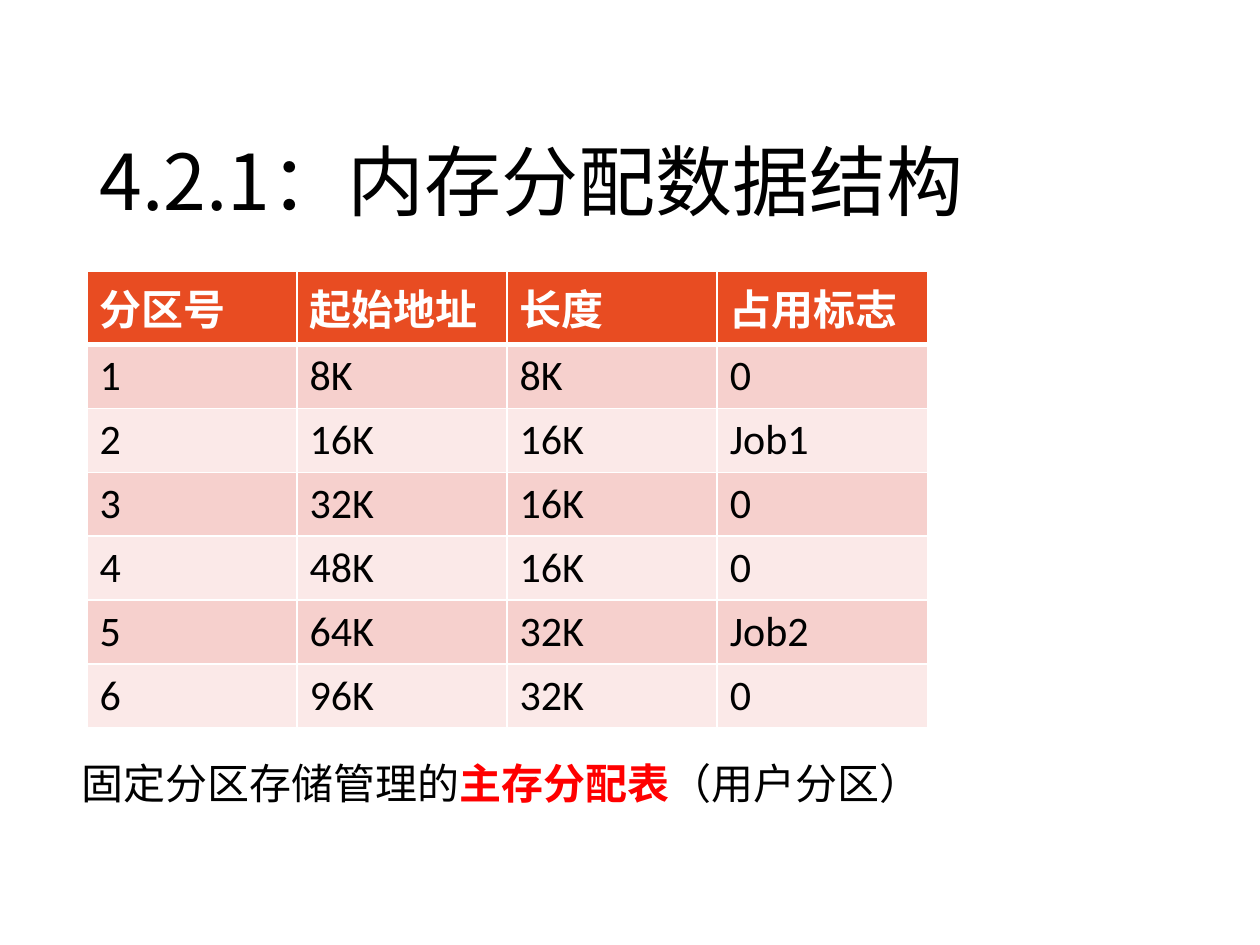
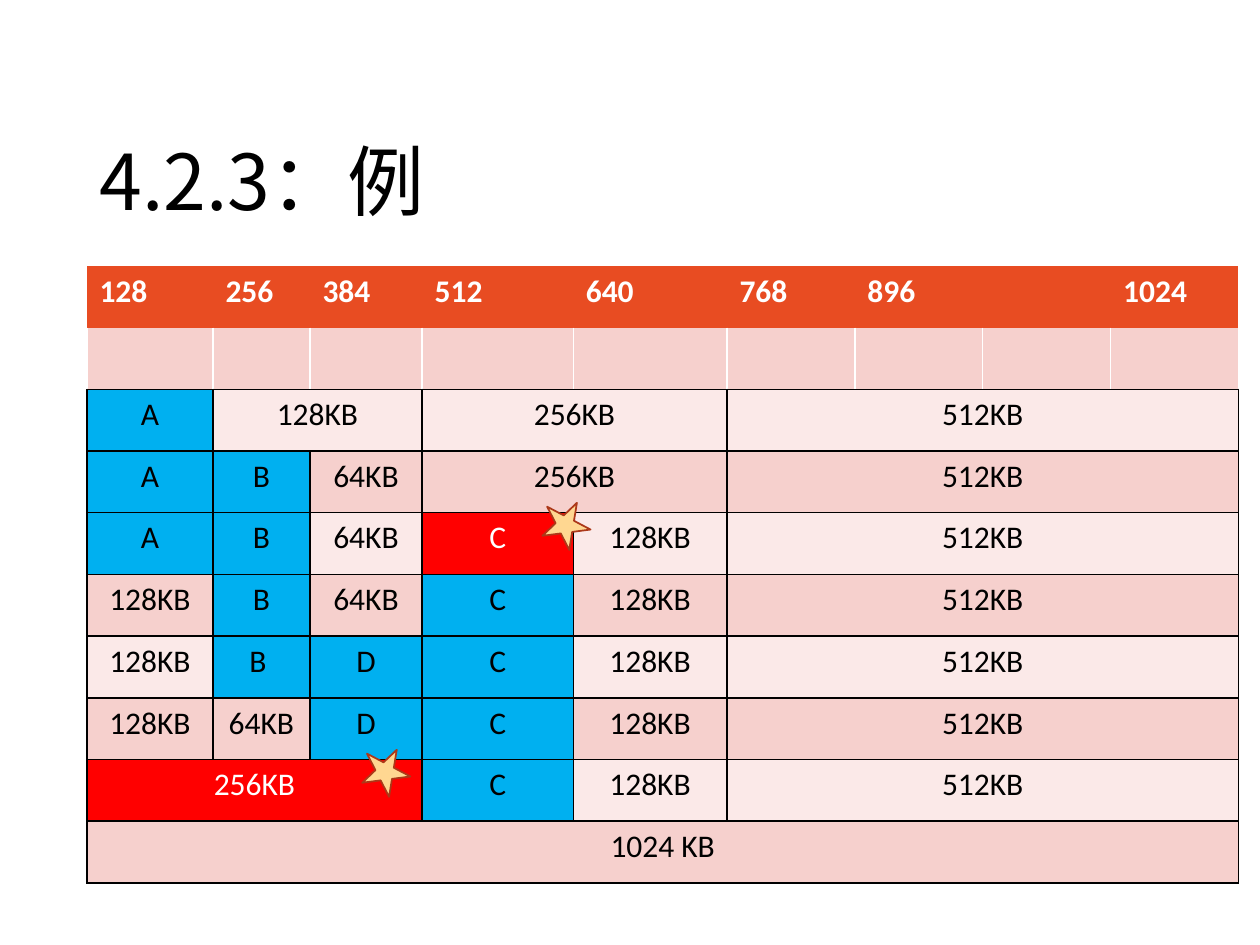
from itertools import chain

from lxml.etree import SubElement
from pptx import Presentation
from pptx.dml.color import RGBColor
from pptx.enum.shapes import MSO_SHAPE as Shape
from pptx.enum.text import MSO_ANCHOR as Anchor, MSO_AUTO_SIZE as AutoSize, PP_ALIGN as Align
from pptx.oxml.ns import qn
from pptx.util import Inches, Pt

BLACK = RGBColor(0x00, 0x00, 0x00)
WHITE = RGBColor(0xFF, 0xFF, 0xFF)
RED = RGBColor(0xFF, 0x00, 0x00)
BLUE = RGBColor(0x00, 0xB0, 0xF0)
ORANGE = RGBColor(0xE8, 0x4C, 0x22)
PINK = RGBColor(0xF6, 0xD0, 0xCD)
PALE_PINK = RGBColor(0xFB, 0xE9, 0xE8)
GOLD = RGBColor(0xFF, 0xD7, 0x91)
RUST = RGBColor(0xAC, 0x38, 0x19)

BODY_FONT = "Calibri"
CJK_FONT = "Noto Sans CJK SC"
TITLE_ONLY = 5
LEFT = 0.69

PARTITIONS = [
    ("分区号", "起始地址", "长度", "占用标志"),
    ("1", "8K", "8K", "0"),
    ("2", "16K", "16K", "Job1"),
    ("3", "32K", "16K", "0"),
    ("4", "48K", "16K", "0"),
    ("5", "64K", "32K", "Job2"),
    ("6", "96K", "32K", "0"),
]

ADDRESSES = ("128", "256", "384", "512", "640", "768", "896", "", "1024")
# Each block is (label, columns it spans).
TAIL = ("512KB", 4)
BUDDY_ROWS = [
    [("A", 1), ("128KB", 2), ("256KB", 2), TAIL],
    [("A", 1), ("B", 1), ("64KB", 1), ("256KB", 2), TAIL],
    [("A", 1), ("B", 1), ("64KB", 1), ("C", 1), ("128KB", 1), TAIL],
    [("128KB", 1), ("B", 1), ("64KB", 1), ("C", 1), ("128KB", 1), TAIL],
    [("128KB", 1), ("B ", 1), ("D", 1), ("C", 1), ("128KB", 1), TAIL],
    [("128KB", 1), ("64KB", 1), ("D", 1), ("C", 1), ("128KB", 1), TAIL],
    [("256KB", 3), ("C", 1), ("128KB", 1), TAIL],
    [("1024 KB", 9)],
]
HIGHLIGHTS = {(4, 3), (8, 0)}  # (table row, column) of the starred blocks
STARS = [(4.3, 3.97), (2.87, 5.93)]


def add_span(para, text, font=BODY_FONT, **formats):
    """Add a run with Latin and East Asian fonts and the given formats."""
    span = para.add_run()
    span.text = text
    span.font.color.rgb = formats.pop("color", BLACK)
    for name, value in {"name": font, "bold": False, **formats}.items():
        setattr(span.font, name, value)
    SubElement(span.font._element, qn("a:ea"), typeface=CJK_FONT)


def add_page(deck, title):
    """Add a page with the shared title style."""
    page = deck.slides.add_slide(deck.slide_layouts[TITLE_ONLY])
    box = page.shapes.title
    place = {"left": LEFT, "top": 0.4, "width": 8.62, "height": 1.45}
    for name, value in place.items():
        setattr(box, name, Inches(value))
    frame = box.text_frame
    for name, value in {"vertical_anchor": Anchor.BOTTOM, "word_wrap": True,
                        "auto_size": AutoSize.NONE}.items():
        setattr(frame, name, value)
    para = frame.paragraphs[0]
    para.alignment, para.line_spacing = Align.LEFT, 0.9
    add_span(para, title, CJK_FONT, size=Pt(44))
    return page


def add_grid(page, top, widths, row_count, row_height, height):
    """Add a table with the given columns and equal rows."""
    holder = page.shapes.add_table(row_count, len(widths), Inches(LEFT), Inches(top),
                                   Inches(sum(widths)), Inches(height))
    for column, width in zip(holder.table.columns, widths):
        column.width = Inches(width)
    for row in holder.table.rows:
        row.height = Inches(row_height)
    holder.height = Inches(height)
    return holder.table


def set_borders(cell, **edges):
    """Draw edges L, R, T, B from (colour, points); an absent edge is hidden."""
    props = cell._tc.get_or_add_tcPr()
    for index, side in enumerate("LRTB"):
        color, points = edges.get(side, (None, 0))
        line = SubElement(props, qn(f"a:ln{side}"), w=str(Pt(points)))
        props.insert(index, line)
        if color is None:
            SubElement(line, qn("a:noFill"))
        else:
            fill = SubElement(line, qn("a:solidFill"))
            SubElement(fill, qn("a:srgbClr"), val=str(color))


def fill_cell(cell, text, fill, align=Align.LEFT, **formats):
    """Give a cell its fill and its formatted text."""
    cell.fill.solid()
    cell.fill.fore_color.rgb = fill
    if text:
        para = cell.text_frame.paragraphs[0]
        para.alignment = align
        add_span(para, text, **formats)


def band_color(row):
    """Return the fill of a table row: header, then alternating bands."""
    return ORANGE if row == 0 else (PALE_PINK, PINK)[row % 2]


def add_partition_table(page):
    """Add the table of fixed partitions."""
    table = add_grid(page, 2.15, [6.67 / 4] * 4, len(PARTITIONS), 0.41, 3.5)
    thin, thick = (WHITE, 1), (WHITE, 3)
    for row, texts in enumerate(PARTITIONS):
        header = row == 0
        for column, text in enumerate(texts):
            cell = table.cell(row, column)
            fill_cell(cell, text, band_color(row), size=Pt(24), bold=header,
                      color=WHITE if header else BLACK)
            set_borders(cell, L=thin, R=thin, T=thick if row == 1 else thin,
                        B=thick if header else thin)


def add_buddy_table(page):
    """Add the address header and the rows of merged memory blocks."""
    widths = [1.0, 0.77, 0.89, 1.2, 1.22]
    widths += [(9.14 - sum(widths)) / 4] * 4
    table = add_grid(page, 2.11, widths, len(BUDDY_ROWS) + 2, 0.49, 4.93)
    white, black = (WHITE, 1), (BLACK, 1)
    for column, address in enumerate(ADDRESSES):
        header, gap = table.cell(0, column), table.cell(1, column)
        fill_cell(header, address, band_color(0), size=Pt(18), bold=True, color=WHITE)
        set_borders(header)
        fill_cell(gap, "", band_color(1))
        set_borders(gap, L=white, R=white, B=black)
    for row, blocks in enumerate(BUDDY_ROWS, start=2):
        column = 0
        for text, span in blocks:
            marked = (row, column) in HIGHLIGHTS
            used = len(text.strip()) == 1
            fill = RED if marked else BLUE if used else band_color(row)
            fill_cell(table.cell(row, column), text, fill, Align.CENTER, size=Pt(18),
                      color=WHITE if marked else BLACK)
            if span > 1:
                table.cell(row, column).merge(table.cell(row, column + span - 1))
            column += span
    for cell in chain.from_iterable(row.cells for row in list(table.rows)[2:]):
        set_borders(cell, **dict.fromkeys("LRTB", black))


def add_caption(page):
    """Add the caption under the partition table."""
    box = page.shapes.add_textbox(Inches(0.55), Inches(5.96), Inches(6.93), Inches(0.5))
    box.text_frame.word_wrap = False
    box.text_frame.auto_size = AutoSize.SHAPE_TO_FIT_TEXT
    para = box.text_frame.paragraphs[0]
    add_span(para, "固定分区存储管理的", size=Pt(24))
    add_span(para, "主存分配表", size=Pt(24), bold=True, color=RED)
    add_span(para, "（用户分区）", size=Pt(24))


def add_star(page, left, top):
    """Add a tilted star that marks a block."""
    star = page.shapes.add_shape(Shape.STAR_5_POINT, Inches(left), Inches(top),
                                 Inches(0.39), Inches(0.36))
    star.rotation = 27.8
    star.shadow.inherit = False
    star.fill.solid()
    star.fill.fore_color.rgb = GOLD
    star.line.color.rgb = RUST
    star.line.width = Pt(1)


def main():
    """Build both pages and save the deck."""
    deck = Presentation()
    deck.slide_width, deck.slide_height = Inches(10), Inches(7.5)

    page = add_page(deck, "4.2.1：内存分配数据结构")
    add_partition_table(page)
    add_caption(page)

    page = add_page(deck, "4.2.3：例")
    add_buddy_table(page)
    for left, top in STARS:
        add_star(page, left, top)

    deck.save("out.pptx")


main()
